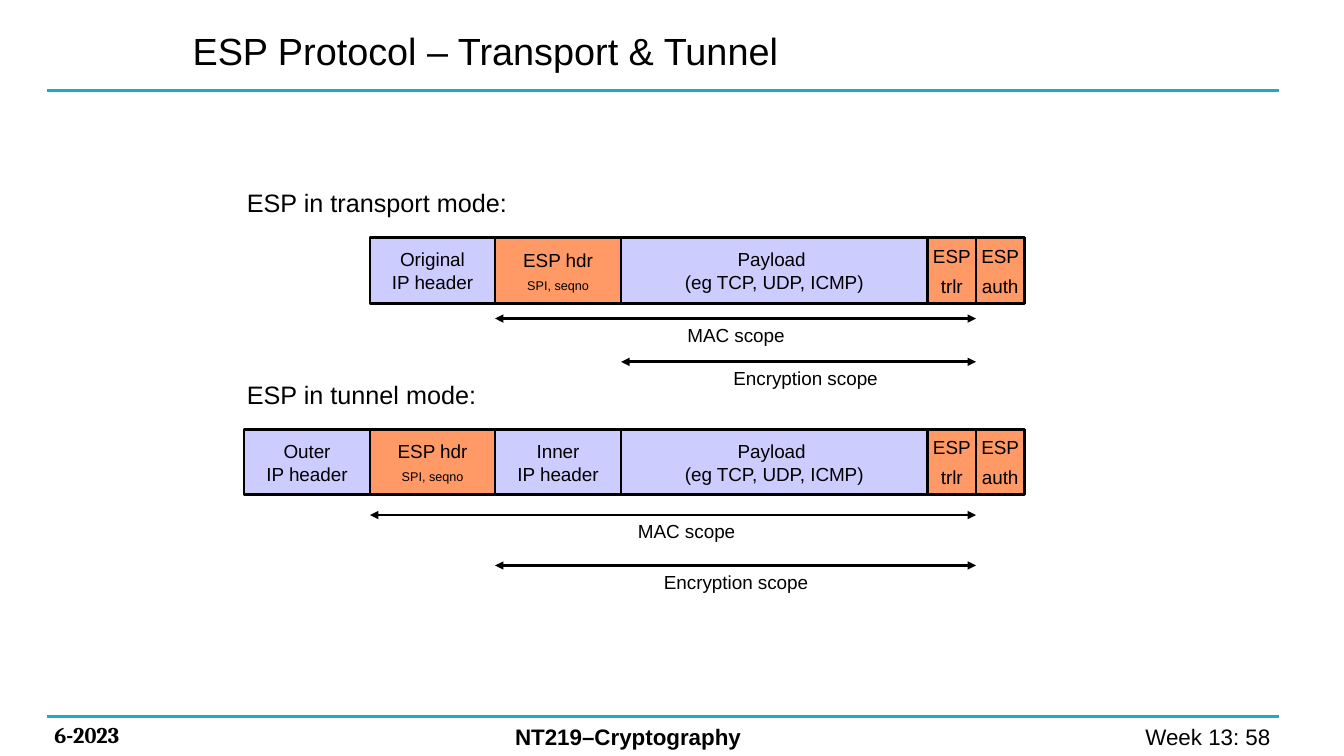
from lxml.etree import SubElement
from pptx import Presentation
from pptx.dml.color import RGBColor
from pptx.enum.shapes import MSO_CONNECTOR as Connector, MSO_SHAPE as Shape
from pptx.enum.text import MSO_ANCHOR as Anchor, MSO_AUTO_SIZE as AutoSize, PP_ALIGN as Align
from pptx.oxml.ns import qn
from pptx.util import Pt

PX = 9144  # 100 px to the inch
BLACK = RGBColor(0x00, 0x00, 0x00)
TEAL = RGBColor(0x16, 0xAF, 0xC2)
LILAC = RGBColor(0xCC, 0xCC, 0xFF)
ORANGE = RGBColor(0xFF, 0x99, 0x66)

TITLE = "ESP Protocol – Transport & Tunnel"
RULE_LEFT, RULE_RIGHT, RULE_TOPS = 47, 1269, (90, 711)
# text, left, top, width, alignment, font, bold
FOOTERS = [
    ("6-2023", 44, 711, 178, Align.LEFT, "Cambria", True),
    ("NT219–Cryptography", 501, 712, 409, Align.LEFT, "Arial", True),
    ("Week 13: 58 ", 982, 712, 294, Align.RIGHT, "Arial", False),
]

# A field is its fill, its lines as (text, size), and the space between them
ESP_HEADER = (ORANGE, [("ESP hdr", 13.5), ("SPI, seqno", 9)], 4.5)
PAYLOAD = (LILAC, [("Payload ", 13.5), ("(eg TCP, UDP, ICMP)", 13.5)], 0)
TRAILER = (ORANGE, [("ESP", 13.5), ("trlr", 13.5)], 5.5)
AUTH = (ORANGE, [("ESP", 13.5), ("auth", 13.5)], 5.5)


def ip_header(kind):
    return LILAC, [(kind, 13.5), ("IP header", 13.5)], 0


EDGES = [242, 367, 491, 616, 920, 968, 1016]
SCOPE_END = EDGES[5]
# heading, packet top, first column, fields,
# scopes as (name, first column, arrow top, label centre)
MODES = [
    ("ESP in transport mode:", 236, 1,
     [ip_header("Original"), ESP_HEADER, PAYLOAD, TRAILER, AUTH],
     [("MAC scope", 2, 316, 730), ("Encryption scope", 3, 359, 799)]),
    ("ESP in tunnel mode:", 426, 0,
     [ip_header("Outer"), ESP_HEADER, ip_header("Inner"), PAYLOAD, TRAILER, AUTH],
     [("MAC scope", 1, 511, 681), ("Encryption scope", 2, 561, 730)]),
]
FIELD_HEIGHT, HEADING_LEFT, HEADING_RISE, SCOPE_WIDTH = 65, 235, 55, 422


def emu(*lengths):
    return [length * PX for length in lengths]


def write(para, text, size, align=Align.LEFT, font="Arial", bold=False):
    para.alignment = align
    span = para.add_run()
    span.text = text
    span.font.size = Pt(size)
    span.font.name = font
    span.font.bold = bold
    span.font.color.rgb = BLACK


def add_label(page, text, left, top, width, height, size, *style):
    box = page.shapes.add_textbox(*emu(left, top, width, height))
    box.text_frame.word_wrap = True
    write(box.text_frame.paragraphs[0], text, size, *style)


def add_line(page, left, right, top, color, weight, arrows=False):
    line = page.shapes.add_connector(Connector.STRAIGHT, *emu(left, top, right, top))
    line.line.color.rgb = color
    line.line.width = Pt(weight)
    if arrows:
        outline = line.line._get_or_add_ln()
        for end in ("a:headEnd", "a:tailEnd"):
            SubElement(outline, qn(end), type="triangle")
    SubElement(line._element.spPr, qn("a:effectLst"))


def add_field(page, left, right, top, fill, lines, gap):
    box = page.shapes.add_shape(Shape.RECTANGLE, *emu(left, top, right - left, FIELD_HEIGHT))
    box.shadow.inherit = False
    box.fill.solid()
    box.fill.fore_color.rgb = fill
    box.line.color.rgb = BLACK
    box.line.width = Pt(2)
    frame = box.text_frame
    frame.word_wrap = False
    frame.vertical_anchor = Anchor.MIDDLE
    for index, (text, size) in enumerate(lines):
        para = frame.add_paragraph() if index else frame.paragraphs[0]
        para.space_before = Pt(gap if index else 0)
        write(para, text, size, Align.CENTER)


def add_mode(page, heading, top, first, fields, scopes):
    add_label(page, heading, HEADING_LEFT, top - HEADING_RISE, 360, 40, 18)
    for column, field in enumerate(fields, first):
        add_field(page, EDGES[column], EDGES[column + 1], top, *field)
    for name, column, arrow_top, centre in scopes:
        add_line(page, EDGES[column], SCOPE_END, arrow_top, BLACK, 2, arrows=True)
        add_label(page, name, centre - SCOPE_WIDTH // 2, arrow_top, SCOPE_WIDTH, 33,
                  13.5, Align.CENTER)


def main():
    deck = Presentation()
    deck.slide_width, deck.slide_height = emu(1333, 750)
    page = deck.slides.add_slide(deck.slide_layouts[5])

    title = page.shapes.title
    title.left, title.top, title.width, title.height = emu(181, 14, 608, 71)
    title.text_frame.auto_size = AutoSize.NONE
    title.text_frame.vertical_anchor = Anchor.MIDDLE
    write(title.text_frame.paragraphs[0], TITLE, 27)

    for top in RULE_TOPS:
        add_line(page, RULE_LEFT, RULE_RIGHT, top, TEAL, 2.25)
    for text, left, top, width, *style in FOOTERS:
        add_label(page, text, left, top, width, 37, 16, *style)
    for mode in MODES:
        add_mode(page, *mode)

    deck.save("out.pptx")


if __name__ == "__main__":
    main()
